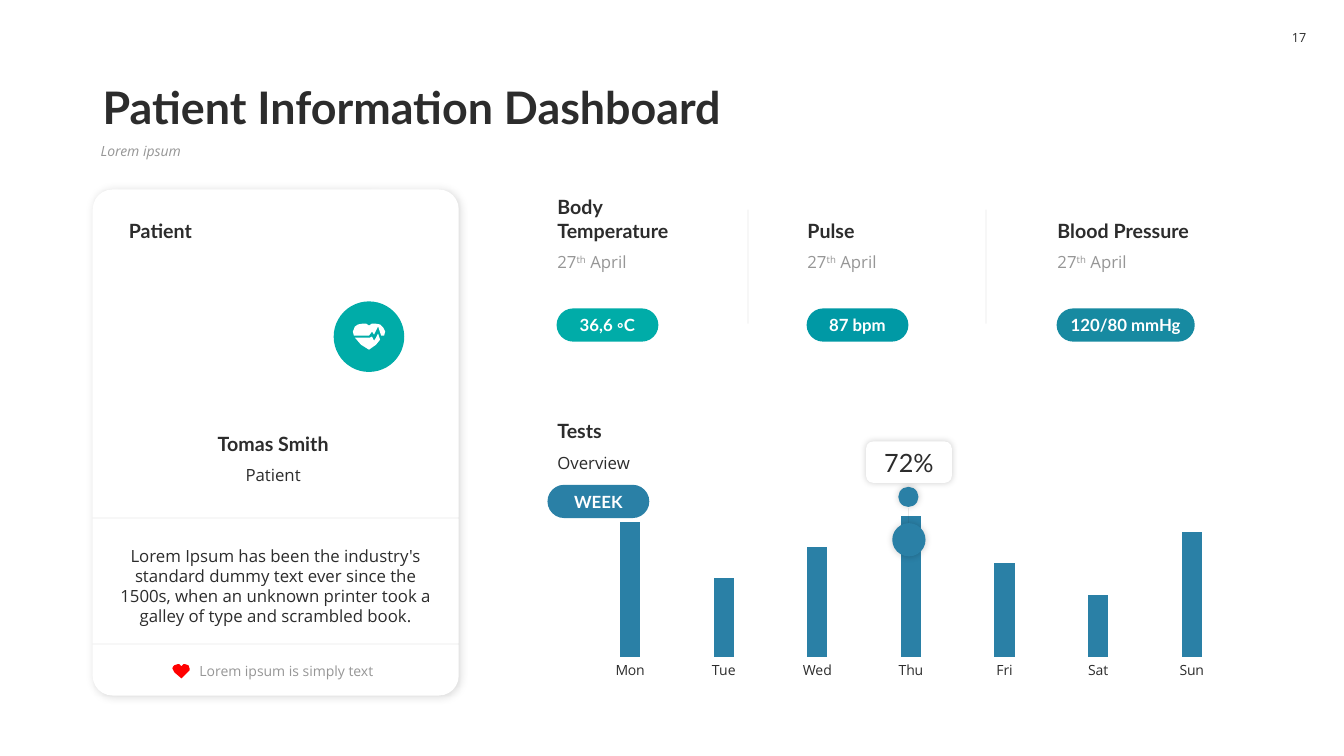
import pptx
import pptx.chart.data
import pptx.dml.color
import pptx.enum.chart
import pptx.enum.shapes
import pptx.enum.text
import pptx.oxml
import pptx.oxml.ns
import pptx.util
from dataclasses import dataclass
from lxml import etree

Inches = pptx.util.Inches
Pt = pptx.util.Pt
Color = pptx.dml.color.RGBColor.from_string
Shape = pptx.enum.shapes.MSO_SHAPE
Align = pptx.enum.text.PP_ALIGN
Anchor = pptx.enum.text.MSO_ANCHOR
qn = pptx.oxml.ns.qn


@dataclass(frozen=True)
class Theme:
    head: str = "Lato"
    body: str = "Open Sans"
    ink: str = "2C2C2C"
    muted: str = "969696"
    white: str = "FFFFFF"
    blue: str = "2A80A6"
    green: str = "00ACA8"
    teal: str = "0099A5"
    ocean: str = "178AA1"
    red: str = "FF0000"
    black: str = "000000"
    title: int = 32
    callout: int = 18
    heading: int = 14
    text: int = 12
    small: int = 10
    number: int = 9


theme = Theme()
deck = pptx.Presentation()
deck.slide_width, deck.slide_height = Inches(13.33), Inches(7.5)
page = deck.slides.add_slide(deck.slide_layouts[6])


def add_plate(kind, place, fill, round_by=None, shadow=None):
    plate = page.shapes.add_shape(kind, *map(Inches, place))
    plate.shadow.inherit = False
    plate.fill.solid()
    plate.fill.fore_color.rgb = Color(fill)
    plate.line.fill.background()
    if round_by is not None:
        plate.adjustments[0] = round_by
    if shadow:
        alpha, blur, distance = shadow
        effects = plate._element.spPr.find(qn("a:effectLst"))
        outer = etree.SubElement(effects, qn("a:outerShdw"), blurRad=str(Pt(blur)),
                                 dist=str(Pt(distance)), dir="2700000", algn="ctr", rotWithShape="0")
        shade = etree.SubElement(outer, qn("a:srgbClr"), val=theme.black)
        etree.SubElement(shade, qn("a:alpha"), val=str(alpha * 1000))
    return plate


def write(box, words, size, font=theme.body, color=theme.ink, bold=False,
          align=Align.LEFT, anchor=Anchor.TOP, inset=0.1):
    frame = box.text_frame
    frame.word_wrap = True
    frame.vertical_anchor = anchor
    frame.margin_left = frame.margin_right = Inches(inset)
    para = frame.paragraphs[0]
    para.alignment = align
    para.font.size, para.font.name, para.font.bold = Pt(size), font, bold
    para.font.color.rgb = Color(color)
    para.add_run().text = words
    return para


soft = (20, 5, 0)
add_plate(Shape.ROUNDED_RECTANGLE, (0.92, 1.88, 3.63, 5.02), theme.white, 0.054, (15, 6, 1))

headings = [
    ("Patient", (1.18, 2.11, 3.2, 0.34), Align.LEFT),
    ("Tomas Smith", (1.71, 4.23, 2, 0.34), Align.CENTER),
    ("Tests", (5.43, 4.1, 2.86, 0.34), Align.LEFT),
]
for words, place, align in headings:
    write(page.shapes.add_textbox(*map(Inches, place)), words, theme.heading,
          theme.head, bold=True, align=align, anchor=Anchor.BOTTOM)

story = ("Lorem Ipsum has been the industry's standard dummy text ever since the 1500s, "
         "when an unknown printer took a galley of type and scrambled book.")
body_texts = [
    ("Patient", (1.71, 4.56, 2, 0.3), theme.text, theme.ink, Align.CENTER),
    (story, (1.08, 5.36, 3.31, 0.91), theme.text, theme.ink, Align.CENTER),
    ("Overview", (5.43, 4.44, 2.86, 0.3), theme.text, theme.ink, Align.LEFT),
    ("Lorem ipsum is simply text", (1.88, 6.52, 1.96, 0.27), theme.small, theme.muted, Align.LEFT),
]
for words, place, size, color, align in body_texts:
    write(page.shapes.add_textbox(*map(Inches, place)), words, size, color=color, align=align)

title_box = page.shapes.add_textbox(Inches(0.92), Inches(0.58), Inches(11.5), Inches(0.8))
title = write(title_box, "Patient Information Dashboard", theme.title, theme.head,
              bold=True, anchor=Anchor.BOTTOM)
subtitle_box = page.shapes.add_textbox(Inches(0.9), Inches(1.38), Inches(11.52), Inches(0.36))
subtitle = write(subtitle_box, "Lorem ipsum", theme.small, color=theme.muted)
subtitle.font.italic = True
title.line_spacing = subtitle.line_spacing = 0.9
number_box = page.shapes.add_textbox(Inches(12.69), Inches(0.18), Inches(0.39), Inches(0.39))
write(number_box, "17", theme.number, align=Align.CENTER, anchor=Anchor.MIDDLE, inset=0)

vitals = [
    ("Body Temperature", "36,6 ◦C", 1.01, theme.green),
    ("Pulse", "87 bpm", 1.01, theme.teal),
    ("Blood Pressure", "120/80 mmHg", 1.37, theme.ocean),
]
pills = [("WEEK", 5.43, 4.81, 1.01, theme.blue)]
for index, (name, reading, width, color) in enumerate(vitals):
    left = 5.43 + 2.48 * index
    name_box = page.shapes.add_textbox(Inches(left), Inches(1.88), Inches(1.66), Inches(0.57))
    write(name_box, name, theme.heading, theme.head, bold=True, anchor=Anchor.BOTTOM)
    date_box = page.shapes.add_textbox(Inches(left), Inches(2.45), Inches(1.66), Inches(0.3))
    date = write(date_box, "27", theme.text, color=theme.muted)
    ordinal = date.add_run()
    ordinal.text = "th"
    ordinal.font._element.set("baseline", "30000")
    date.add_run().text = " April"
    pills.append((reading, left + 0.09, 3.06, width, color))

data = pptx.chart.data.CategoryChartData()
data.categories = ["Mon", "Tue", "Wed", "Thu", "Fri", "Sat", "Sun"]
data.add_series("Series 1", [96, 56, 78, 100, 67, 44, 89])
chart = page.shapes.add_chart(pptx.enum.chart.XL_CHART_TYPE.COLUMN_CLUSTERED, Inches(5.65),
                              Inches(4.94), Inches(6.77), Inches(1.84), data).chart
chart.has_title = chart.has_legend = False
chart.font.name, chart.font.size = theme.body, Pt(theme.text)
chart.font.color.rgb = Color(theme.ink)
bars = chart.plots[0]
bars.gap_width, bars.overlap, bars.vary_by_categories = 360, -30, False
bars.series[0].format.fill.solid()
bars.series[0].format.fill.fore_color.rgb = Color(theme.blue)
days = chart.category_axis
days.major_tick_mark = pptx.enum.chart.XL_TICK_MARK.NONE
days.format.line.fill.background()
days.tick_labels.font.size = Pt(theme.small)
scale = chart.value_axis
scale.minimum_scale, scale.maximum_scale = 0, 100
scale.has_major_gridlines = scale.visible = False
plot_area = chart._chartSpace.chart.plotArea
for old_layout in plot_area.findall(qn("c:layout")):
    plot_area.remove(old_layout)
layout = etree.Element(qn("c:layout"))
manual = etree.SubElement(layout, qn("c:manualLayout"))
for tag, value in [("layoutTarget", "inner"), ("xMode", "edge"), ("yMode", "edge"),
                   ("x", "0.02"), ("y", "0.1"), ("w", "0.96"), ("h", "0.76")]:
    etree.SubElement(manual, qn("c:" + tag), val=value)
plot_area.insert(0, layout)

add_plate(Shape.OVAL, (8.85, 5.19, 0.33, 0.33), theme.blue, shadow=soft)
rules = [(0.92, 5.14, 4.55, 5.14), (0.92, 6.39, 4.55, 6.39), (7.42, 3.21, 7.42, 2.08),
         (9.78, 3.21, 9.78, 2.08), (9.01, 5.04, 9.01, 5.19)]
for ends in rules:
    rule = page.shapes.add_connector(pptx.enum.shapes.MSO_CONNECTOR.STRAIGHT, *map(Inches, ends))
    rule.line.width = Pt(0.5)
    rule.line.color.rgb = Color(theme.ink)
    ink = rule._element.spPr.find(".//" + qn("a:srgbClr"))
    etree.SubElement(ink, qn("a:alpha"), val="10000")
    etree.SubElement(rule._element.spPr, qn("a:effectLst"))
add_plate(Shape.OVAL, (8.91, 4.83, 0.2, 0.2), theme.blue, shadow=soft)
callout = add_plate(Shape.ROUNDED_RECTANGLE, (8.59, 4.38, 0.85, 0.41), theme.white, shadow=soft)
write(callout, "72%", theme.callout, theme.head, align=Align.CENTER, anchor=Anchor.MIDDLE, inset=0.08)

for words, left, top, width, color in pills:
    pill = add_plate(Shape.ROUNDED_RECTANGLE, (left, top, width, 0.33), color, 0.5)
    write(pill, words, theme.text, theme.head, theme.white, True, Align.CENTER, Anchor.MIDDLE, 0)

add_plate(Shape.OVAL, (3.31, 2.99, 0.7, 0.7), theme.green)
small_heart = [(1.8, 6.73), (1.73, 6.67), (1.72, 6.65), (1.71, 6.63), (1.72, 6.61), (1.73, 6.6),
               (1.76, 6.59), (1.78, 6.59), (1.8, 6.61), (1.82, 6.59), (1.84, 6.59), (1.87, 6.6),
               (1.88, 6.63), (1.88, 6.65), (1.86, 6.67)]
heart_bottom = [(3.75, 3.31), (3.77, 3.37), (3.73, 3.42), (3.66, 3.47), (3.58, 3.42), (3.52, 3.35),
                (3.67, 3.35), (3.69, 3.34), (3.71, 3.38), (3.73, 3.35)]
heart_top = [(3.6, 3.21), (3.63, 3.21), (3.66, 3.23), (3.69, 3.21), (3.72, 3.21), (3.77, 3.22),
             (3.8, 3.25), (3.82, 3.29), (3.81, 3.33), (3.78, 3.33), (3.75, 3.24), (3.71, 3.32),
             (3.69, 3.29), (3.66, 3.33), (3.51, 3.33), (3.5, 3.29), (3.52, 3.24), (3.55, 3.22)]
for contours, color in [([small_heart], theme.red), ([heart_bottom, heart_top], theme.white)]:
    pen = page.shapes.build_freeform(*map(Inches, contours[0][0]))
    for contour in contours:
        corners = [(Inches(x), Inches(y)) for x, y in contour]
        pen.move_to(*corners[0])
        pen.add_line_segments(corners[1:], close=True)
    heart = pen.convert_to_shape()
    heart.shadow.inherit = False
    heart.fill.solid()
    heart.fill.fore_color.rgb = Color(color)
    heart.line.fill.background()

deck.save("out.pptx")
